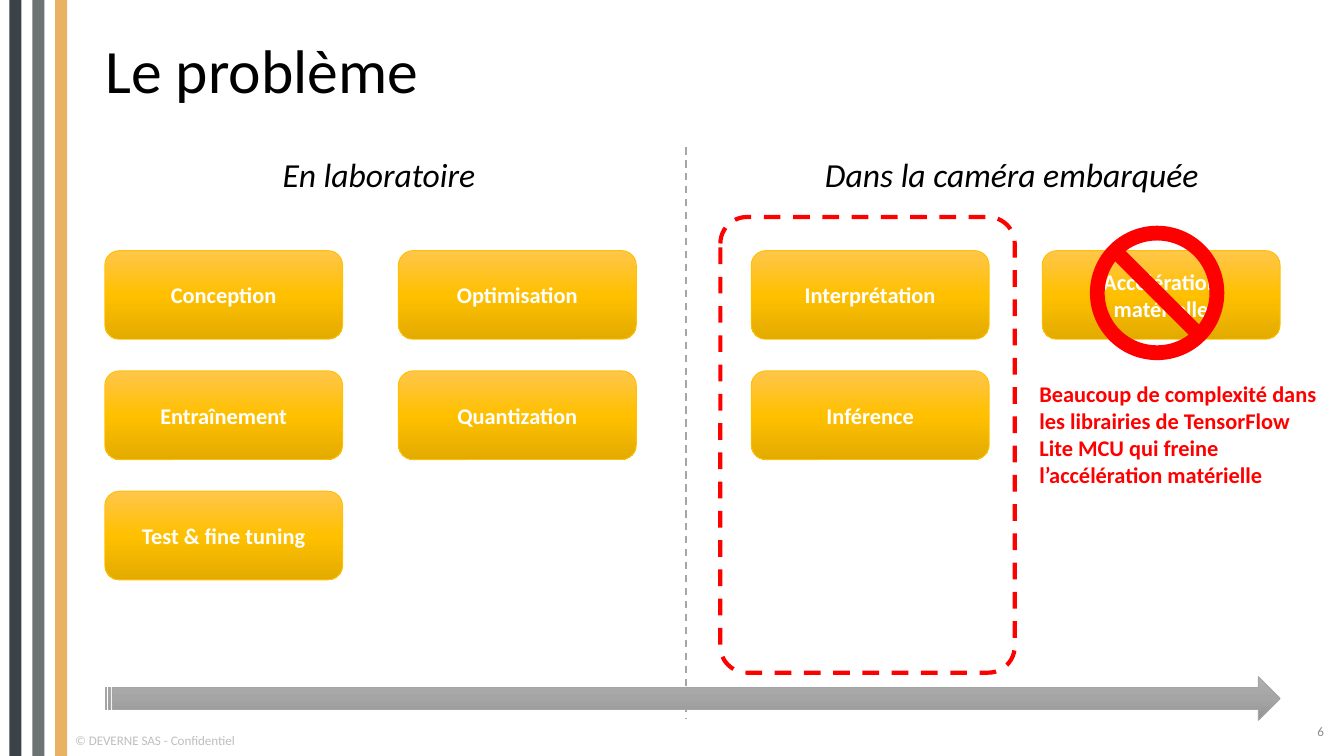
from copy import deepcopy
from dataclasses import dataclass

from lxml import etree
from pptx import Presentation
from pptx.dml.color import RGBColor
from pptx.enum.dml import MSO_LINE
from pptx.enum.shapes import MSO_CONNECTOR, MSO_SHAPE
from pptx.enum.text import MSO_ANCHOR, MSO_AUTO_SIZE, PP_ALIGN
from pptx.oxml.ns import qn
from pptx.util import Pt

PX = 4572  # 200 px to the inch
PAGE_WIDTH, PAGE_HEIGHT = 2000, 1125
RECT, ROUNDED = MSO_SHAPE.RECTANGLE, MSO_SHAPE.ROUNDED_RECTANGLE
ARROW, FORBIDDEN = MSO_SHAPE.STRIPED_RIGHT_ARROW, MSO_SHAPE.NO_SYMBOL
DASH = MSO_LINE.DASH
LEFT, CENTER, RIGHT = PP_ALIGN.LEFT, PP_ALIGN.CENTER, PP_ALIGN.RIGHT
TOP, MIDDLE = MSO_ANCHOR.TOP, MSO_ANCHOR.MIDDLE
FIT, FIXED = MSO_AUTO_SIZE.SHAPE_TO_FIT_TEXT, MSO_AUTO_SIZE.NONE


@dataclass(frozen=True)
class Theme:
    font: str = "Calibri"
    ink: str = "000000"
    white: str = "FFFFFF"
    alert: str = "FF0000"
    footer: str = "BFBFBF"
    number: str = "8C8C8C"
    divider: str = "A6A6A6"
    stripes: tuple = ("3B4248", "6D7372", "EBB162")
    gold: tuple = ("FFC64B", "FFC000", "E3AB00")
    grey: tuple = ("AFAFAF", "A5A5A5", "939393")
    title_size: int = 33
    heading_size: int = 18
    body_size: int = 12
    small_size: int = 7


def rgb(color):
    return RGBColor.from_string(color)


def emu(*lengths):
    return [length * PX for length in lengths]


def write(box, text, *, font, size, color, bold=False, italic=False, align=LEFT,
          anchor=TOP, wrap=True, fit=FIXED, spacing=None):
    frame = box.text_frame
    frame.word_wrap = wrap
    frame.auto_size = fit
    frame.vertical_anchor = anchor
    para = frame.paragraphs[0]
    para.alignment = align
    para.line_spacing = spacing
    span = para.add_run()
    span.text = text
    span.font.name, span.font.size = font, Pt(size)
    span.font.bold, span.font.italic = bold, italic
    span.font.color.rgb = rgb(color)


class SlideBuilder:
    def __init__(self, page, theme):
        self.page, self.theme = page, theme

    def title(self, text, *place):
        box = self.page.shapes.title
        box.left, box.top, box.width, box.height = emu(*place)
        write(box, text, font=self.theme.font, size=self.theme.title_size,
              color=self.theme.ink, anchor=MIDDLE, spacing=0.9)

    def text(self, text, *place, **style):
        box = self.page.shapes.add_textbox(*emu(*place))
        write(box, text, font=self.theme.font, **style)

    def shape(self, kind, *place, fill=None, line=None, weight=0.5, dash=None, adjust=None):
        """Add a preset shape; a tuple of colours as fill makes a vertical gradient."""
        shape = self.page.shapes.add_shape(kind, *emu(*place))
        shape.shadow.inherit = False
        if adjust is not None:
            shape.adjustments[0] = adjust
        if fill is None:
            shape.fill.background()
        elif isinstance(fill, tuple):
            self.gradient(shape, fill)
        else:
            shape.fill.solid()
            shape.fill.fore_color.rgb = rgb(fill)
        if line is None:
            shape.line.fill.background()
        else:
            shape.line.color.rgb = rgb(line)
            shape.line.width = Pt(weight)
            shape.line.dash_style = dash
        return shape

    def gradient(self, shape, colors):
        shape.fill.gradient()
        shape.fill.gradient_angle = 270
        stops = shape._element.spPr.find(qn("a:gradFill")).find(qn("a:gsLst"))
        stops.insert(1, deepcopy(stops[0]))
        for index, (stop, color) in enumerate(zip(shape.fill.gradient_stops, colors)):
            stop.position = index / (len(colors) - 1)
            stop.color.rgb = rgb(color)

    def step(self, text, *place):
        gold = self.theme.gold
        box = self.shape(ROUNDED, *place, fill=gold, line=gold[1])
        write(box, text, font=self.theme.font, size=self.theme.body_size,
              color=self.theme.white, bold=True, align=CENTER, anchor=MIDDLE)

    def divider(self, *ends):
        line = self.page.shapes.add_connector(MSO_CONNECTOR.STRAIGHT, *emu(*ends))
        line.line.color.rgb = rgb(self.theme.divider)
        line.line.width = Pt(1)
        line.line.dash_style = DASH
        etree.SubElement(line._element.spPr, qn("a:effectLst"))


def main():
    deck = Presentation()
    deck.slide_width, deck.slide_height = emu(PAGE_WIDTH, PAGE_HEIGHT)
    theme = Theme()
    slide = SlideBuilder(deck.slides.add_slide(deck.slide_layouts[5]), theme)

    slide.title("Le problème", 137, 44, 1390, 132)
    slide.text("© DEVERNE SAS - Confidentiel", 92, 1080, 296, 43,
               size=theme.small_size, color=theme.footer, wrap=False, fit=FIT)
    slide.text("6", 1540, 1058, 450, 60, size=theme.small_size, color=theme.number,
               align=RIGHT, anchor=MIDDLE)
    for index, color in enumerate(theme.stripes):
        slide.shape(RECT, 14 + 34 * index, 0, 18, PAGE_HEIGHT, fill=color)

    slide.divider(1021, 219, 1021, 1068)
    for heading, left, width in (("En laboratoire", 401, 330),
                                 ("Dans la caméra embarquée", 1208, 600)):
        slide.text(heading, left, 219, width, 80, size=theme.heading_size,
                   color=theme.ink, italic=True, wrap=False, fit=FIT)

    columns = {
        156: ("Conception", "Entraînement", "Test & fine tuning"),
        593: ("Optimisation", "Quantization"),
        1118: ("Interprétation", "Inférence"),
        1551: ("Accélération matérielle",),
    }
    for left, steps in columns.items():
        for row, step in enumerate(steps):
            slide.step(step, left, 373 + 179 * row, 354, 132)

    slide.shape(ARROW, 157, 1007, 1748, 65, fill=theme.grey, line=theme.grey[1])
    slide.shape(ROUNDED, 1072, 323, 438, 678, line=theme.alert, weight=2.25,
                dash=DASH, adjust=0.09)
    slide.text("Beaucoup de complexité dans les librairies de TensorFlow Lite MCU "
               "qui freine l’accélération matérielle", 1527, 556, 458, 182,
               size=theme.body_size, color=theme.alert, bold=True, fit=FIT)
    slide.shape(FORBIDDEN, 1622, 336, 200, 200, fill=theme.alert, adjust=0.11)

    deck.save("out.pptx")


if __name__ == "__main__":
    main()
